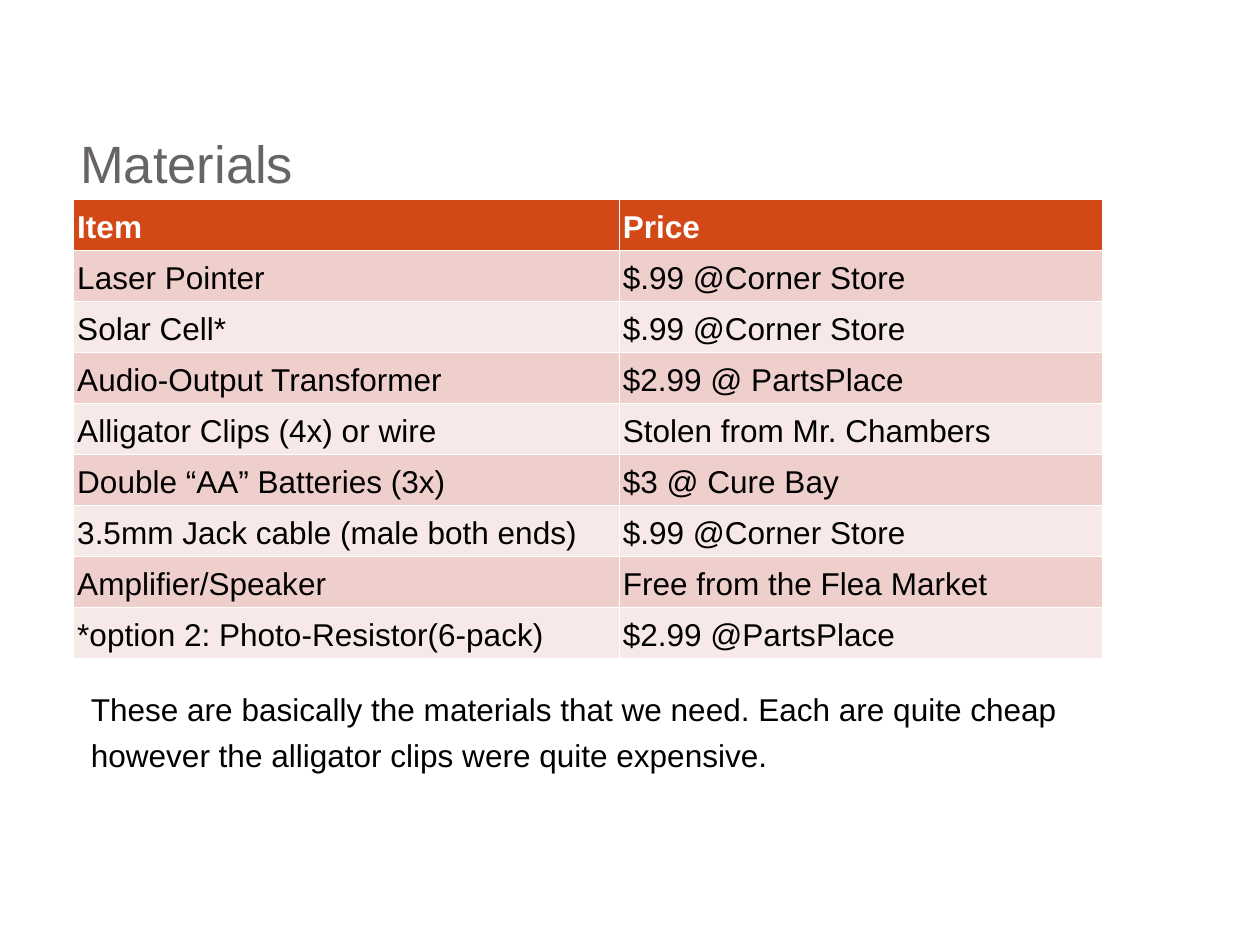
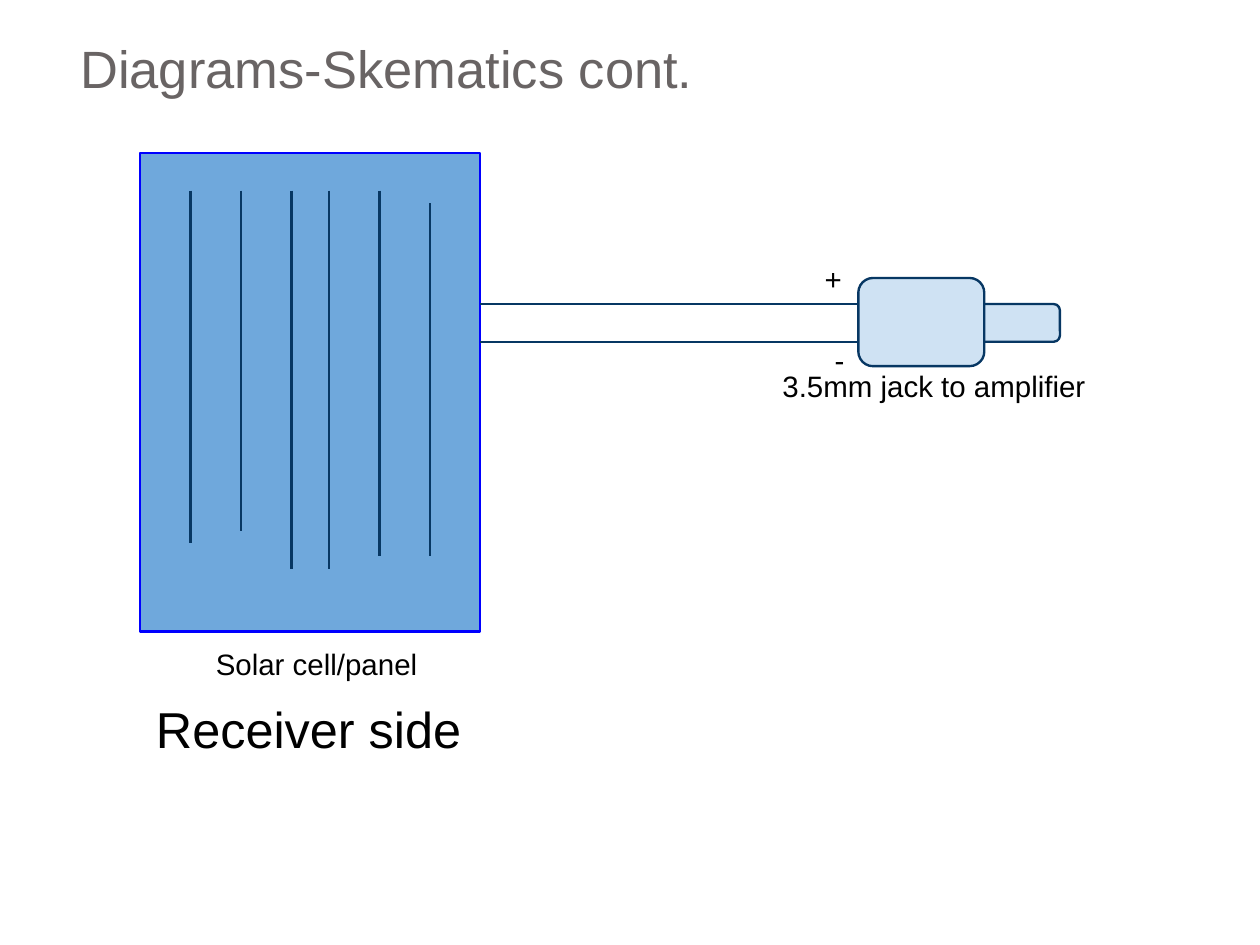
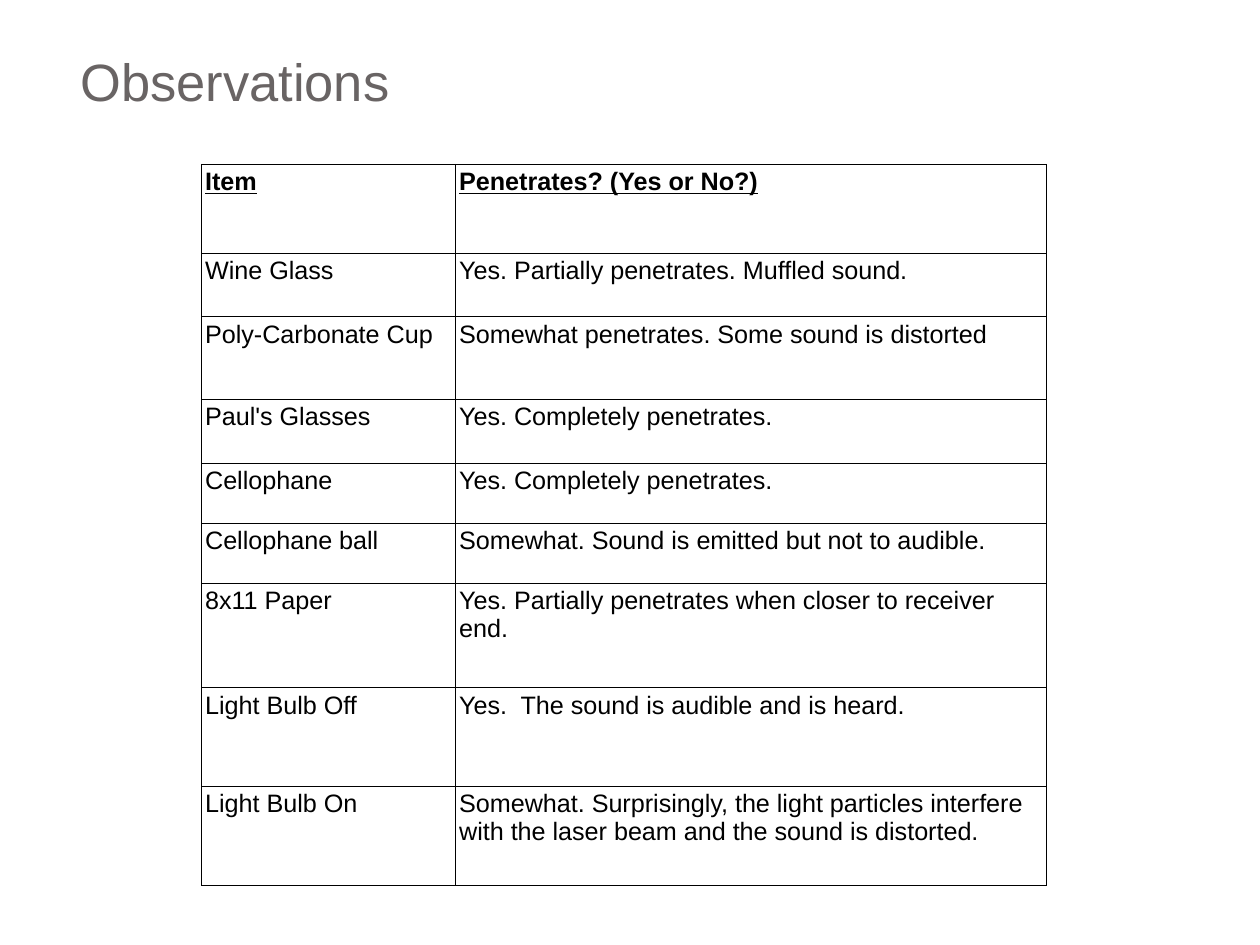
from lxml.etree import SubElement
from pptx import Presentation
from pptx.dml.color import RGBColor
from pptx.enum.shapes import MSO_CONNECTOR, MSO_SHAPE
from pptx.enum.text import MSO_ANCHOR, PP_ALIGN
from pptx.oxml import parse_xml
from pptx.oxml.ns import nsdecls, qn
from pptx.util import Pt


class Theme:
    font = "Arial"
    grey, black, white = "696464", "000000", "FFFFFF"
    rust, rose, blush = "D34817", "EFCFCC", "F7E9E7"
    panel, edge, navy, pale = "6FA8DC", "0000FF", "073763", "CFE2F3"
    title, head, body, label, small = 33.3, 32, 20, 18.7, 16
    line, rule = 1.5, 0.75
    wide = 1.2


def write(frame, text, size, color=Theme.black, lead=1.0, bold=False, under=False):
    frame.text = text
    para = frame.paragraphs[0]
    para.line_spacing = lead
    for run in para.runs:
        font = run.font
        font.name, font.size = Theme.font, Pt(size)
        font.bold, font.underline = bold, under
        font.color.rgb = RGBColor.from_string(color)


def place(slide, box, text, size, color=Theme.black, lead=1.0, pad=3,
          anchor=MSO_ANCHOR.TOP, align=PP_ALIGN.LEFT):
    frame = slide.shapes.add_textbox(*map(Pt, box)).text_frame
    frame.word_wrap = True
    frame.vertical_anchor = anchor
    frame.margin_left = frame.margin_right = Pt(pad)
    frame.margin_top = frame.margin_bottom = Pt(pad)
    write(frame, text, size, color, lead)
    frame.paragraphs[0].alignment = align


deck = Presentation()
deck.slide_width, deck.slide_height = Pt(800), Pt(600)

# Slides and titles
slides = []
for title, top in [("Materials", 66), ("Diagrams-Skematics cont.", 6),
                   ("Observations", 14)]:
    slide = deck.slides.add_slide(deck.slide_layouts[6])
    place(slide, (48, top, 643, 60), title, Theme.title, Theme.grey,
          Theme.wide, anchor=MSO_ANCHOR.BOTTOM)
    slides.append(slide)
goods, scheme, tests = slides

# Table contents
prices = [
    ("Item", "Price"),
    ("Laser Pointer", "$.99 @Corner Store"),
    ("Solar Cell*", "$.99 @Corner Store"),
    ("Audio-Output Transformer", "$2.99 @ PartsPlace"),
    ("Alligator Clips (4x) or wire", "Stolen from Mr. Chambers"),
    ("Double “AA” Batteries (3x)", "$3 @ Cure Bay"),
    ("3.5mm Jack cable (male both ends)", "$.99 @Corner Store"),
    ("Amplifier/Speaker", "Free from the Flea Market"),
    ("*option 2: Photo-Resistor(6-pack)", "$2.99 @PartsPlace"),
]
results = [
    ("Item", "Penetrates? (Yes or No?)"),
    ("Wine Glass", "Yes. Partially penetrates. Muffled sound."),
    ("Poly-Carbonate Cup", "Somewhat penetrates. Some sound is distorted"),
    ("Paul's Glasses", "Yes. Completely penetrates."),
    ("Cellophane", "Yes. Completely penetrates."),
    ("Cellophane ball", "Somewhat. Sound is emitted but not to audible."),
    ("8x11 Paper", "Yes. Partially penetrates when closer to receiver end."),
    ("Light Bulb Off", "Yes.\u00a0 The sound is audible and is heard."),
    ("Light Bulb On", "Somewhat. Surprisingly, the light particles interfere "
                      "with the laser beam and the sound is distorted."),
]

# Tables: slide, rows, left, top, widths, heights, size, lead, rule, banded
grids = [
    (goods, prices, 46.8, 126.7, (346.4, 306.7), [32.4] * 9,
     Theme.body, Theme.wide, Theme.white, True),
    (tests, results, 128, 104.3, (161.3, 375.1),
     [56.4, 40.6, 52.2, 40.6, 38.1, 38.1, 66.5, 62.5, 62.8],
     Theme.small, 1.0, Theme.black, False),
]
for slide, rows, left, top, widths, heights, size, lead, rule, banded in grids:
    table = slide.shapes.add_table(
        len(rows), len(widths), Pt(left), Pt(top),
        Pt(sum(widths)), Pt(sum(heights))).table
    table.first_row = table.horz_banding = False
    for col, width in zip(table.columns, widths):
        col.width = Pt(width)
    for r, (row, height) in enumerate(zip(rows, heights)):
        table.rows[r].height = Pt(height)
        first = r == 0
        for c, text in enumerate(row):
            cell = table.cell(r, c)
            cell.margin_left = cell.margin_right = cell.margin_top = Pt(2.25)
            cell.margin_bottom = Pt(1.25)
            color = Theme.white if first and banded else Theme.black
            write(cell.text_frame, text, size, color, lead,
                  bold=first, under=first and not banded)
            # Borders come before the fill
            props = cell._tc.get_or_add_tcPr()
            for side in "LRTB":
                props.append(parse_xml(
                    f'<a:ln{side} {nsdecls("a")} w="{Pt(Theme.rule)}">'
                    f'<a:solidFill><a:srgbClr val="{rule}"/></a:solidFill>'
                    f'</a:ln{side}>'))
            if banded:
                fill = Theme.rust if first else (Theme.blush, Theme.rose)[r % 2]
                cell.fill.solid()
                cell.fill.fore_color.rgb = RGBColor.from_string(fill)
            else:
                cell.fill.background()

# Note under the prices
place(goods, (54.7, 430.6, 643, 55),
      "These are basically the materials that we need. Each are quite cheap "
      "however the alligator clips were quite expensive.",
      Theme.body, lead=Theme.wide)

# Solar panel and jack
round_box = MSO_SHAPE.FLOWCHART_ALTERNATE_PROCESS
for kind, box, fill, edge in [
        (MSO_SHAPE.RECTANGLE, (89, 97, 216, 304), Theme.panel, Theme.edge),
        (round_box, (609, 193, 64, 24), Theme.pale, Theme.navy),
        (round_box, (545, 176.5, 80, 56), Theme.pale, Theme.navy)]:
    shape = scheme.shapes.add_shape(kind, *map(Pt, box))
    shape.shadow.inherit = False
    shape.fill.solid()
    shape.fill.fore_color.rgb = RGBColor.from_string(fill)
    shape.line.color.rgb = RGBColor.from_string(edge)
    shape.line.width = Pt(Theme.line)

# Cell stripes, then the two wires
stripes = [(121, 121, 345), (153, 121, 337), (185, 121, 361),
           (209, 121, 361), (241, 121, 353), (273, 129, 353)]
lines = [(x, top, x, end) for x, top, end in stripes]
lines += [(305, y, 545, y) for y in (193, 217)]
for ends in lines:
    wire = scheme.shapes.add_connector(MSO_CONNECTOR.STRAIGHT, *map(Pt, ends))
    wire.line.color.rgb = RGBColor.from_string(Theme.navy)
    wire.line.width = Pt(Theme.line)
    SubElement(wire._element.spPr, qn("a:effectLst"))

# Diagram labels
for text, box in [("+", (513, 153, 32, 48)),
                  ("-", (521, 216.5, 24, 24)),
                  ("3.5mm jack to amplifier", (473, 217, 240, 55.5)),
                  ("Solar cell/panel", (57, 385.5, 288, 72))]:
    place(scheme, box, text, Theme.label, pad=7.2,
          anchor=MSO_ANCHOR.MIDDLE, align=PP_ALIGN.CENTER)
place(scheme, (96, 440, 405, 155), "Receiver side", Theme.head)

deck.save("out.pptx")
